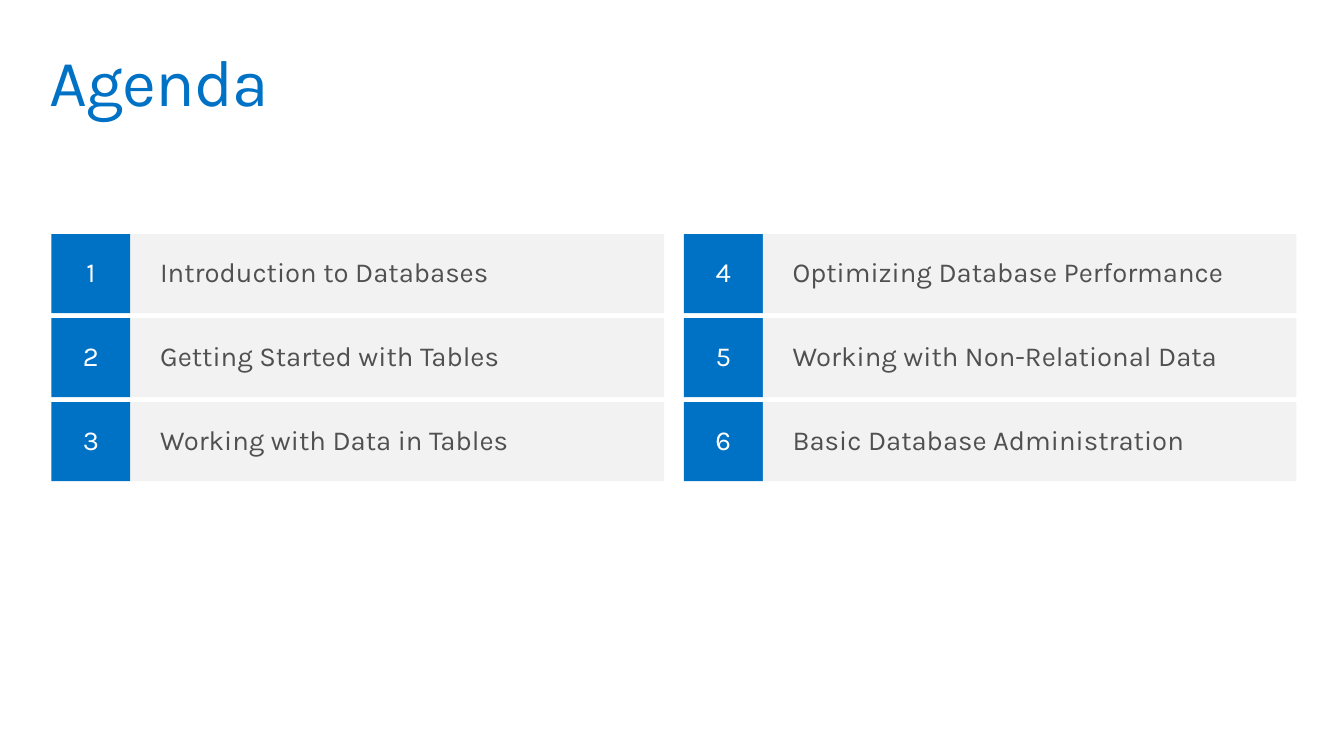
from pptx import Presentation
from pptx.dml.color import RGBColor
from pptx.enum.shapes import MSO_SHAPE
from pptx.enum.text import MSO_ANCHOR, MSO_AUTO_SIZE, PP_ALIGN
from pptx.util import Pt

RECTANGLE = MSO_SHAPE.RECTANGLE
TOP, MIDDLE = MSO_ANCHOR.TOP, MSO_ANCHOR.MIDDLE
LEFT, CENTER = PP_ALIGN.LEFT, PP_ALIGN.CENTER
NO_AUTOFIT = MSO_AUTO_SIZE.NONE
TITLE_ONLY = 5

TOPICS = [
    "Introduction to Databases",
    "Getting Started with Tables",
    "Working with Data in Tables",
    "Optimizing Database Performance",
    "Working with Non-Relational Data",
    "Basic Database Administration",
]
ROWS = 3
GRID_LEFT, GRID_TOP = 37.44, 170.64
NUMBER_SIZE, TOPIC_WIDTH = 57.6, 388.8
COLUMN_GAP, ROW_GAP = 14.4, 3.6


def color(value):
    """Return the colour of a hex string."""
    return RGBColor.from_string(value)


def write_text(shape, text, *, font, size, text_color, align=LEFT,
               anchor=MIDDLE, inset=(7.2, 7.2), spacing=0):
    """Put one formatted paragraph in a shape."""
    frame = shape.text_frame
    frame.word_wrap = True
    frame.auto_size = NO_AUTOFIT
    frame.vertical_anchor = anchor
    frame.margin_left = frame.margin_right = Pt(inset[0])
    frame.margin_top = frame.margin_bottom = Pt(inset[1])
    paragraph = frame.paragraphs[0]
    paragraph.alignment = align
    paragraph.line_spacing = 0.9
    run = paragraph.add_run()
    run.text = text
    run.font.name = font
    run.font.size = Pt(size)
    run.font.color.rgb = color(text_color)
    if spacing:
        run._r.get_or_add_rPr().set("spc", str(round(spacing * 100)))


class AgendaSlide:
    """Hold the style and the slide, and draw each kind of element."""

    font = "Karla"
    blue, pale_gray, dark_gray, white = "0072C6", "F2F2F2", "505050", "FFFFFF"

    def __init__(self, presentation):
        """Add a title-only slide."""
        layout = presentation.slide_layouts[TITLE_ONLY]
        self.slide = presentation.slides.add_slide(layout)

    def title(self, text, left, top, width, height):
        """Place and format the title."""
        title = self.slide.shapes.title
        title.left, title.top = Pt(left), Pt(top)
        title.width, title.height = Pt(width), Pt(height)
        write_text(title, text, font=self.font, size=48,
                   text_color=self.blue, anchor=TOP, spacing=-0.7)

    def box(self, text, left, top, width, height, fill, **text_format):
        """Draw a filled rectangle with text."""
        shape = self.slide.shapes.add_shape(
            RECTANGLE, Pt(left), Pt(top), Pt(width), Pt(height))
        shape.shadow.inherit = False
        shape.fill.solid()
        shape.fill.fore_color.rgb = color(fill)
        shape.line.fill.background()
        write_text(shape, text, font=self.font, size=20, **text_format)

    def topic(self, number, text, left, top):
        """Draw a numbered agenda entry."""
        self.box(str(number), left, top, NUMBER_SIZE, NUMBER_SIZE, self.blue,
                 text_color=self.white, align=CENTER, inset=(14.4, 11.52))
        self.box(text, left + NUMBER_SIZE, top, TOPIC_WIDTH, NUMBER_SIZE,
                 self.pale_gray, text_color=self.dark_gray, inset=(21.6, 7.2))


def main():
    """Build and save the agenda."""
    presentation = Presentation()
    presentation.slide_width = Pt(979.2)
    presentation.slide_height = Pt(550.8)
    agenda = AgendaSlide(presentation)
    agenda.title("Agenda", 28.8, 28.8, 921.6, 72)
    for index, text in enumerate(TOPICS):
        column, row = divmod(index, ROWS)
        left = GRID_LEFT + column * (NUMBER_SIZE + TOPIC_WIDTH + COLUMN_GAP)
        top = GRID_TOP + row * (NUMBER_SIZE + ROW_GAP)
        agenda.topic(index + 1, text, left, top)
    presentation.save("out.pptx")


if __name__ == "__main__":
    main()
